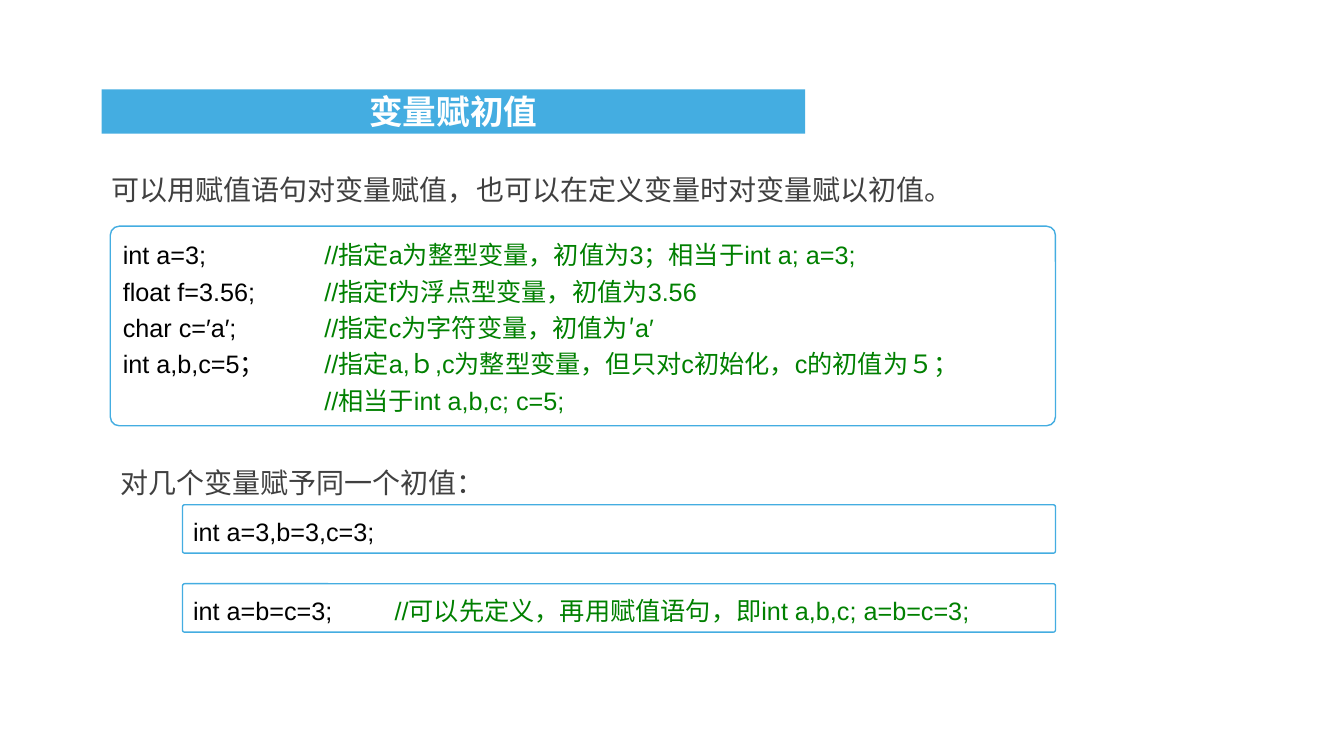
from lxml import etree
from pptx import Presentation
from pptx.dml.color import RGBColor
from pptx.enum.shapes import MSO_SHAPE as Shape
from pptx.enum.text import MSO_ANCHOR as Anchor, MSO_AUTO_SIZE as AutoSize, PP_ALIGN as Align
from pptx.oxml.ns import qn
from pptx.util import Cm, Pt

BLUE, WHITE, BLACK, GREY, GREEN = "44ADE1", "FFFFFF", "000000", "404040", "008000"
LATIN_FONT, CHINESE_FONT = "Arial", "Noto Sans CJK SC"
COMMENT_TAB = Cm(5.08)
RIGHT_EDGE = 26.6

DECLARATIONS = [
    ("int a=3;", "//指定a为整型变量，初值为3；相当于int a; a=3;"),
    ("float f=3.56;", "//指定f为浮点型变量，初值为3.56"),
    ("char c=′a′;", "//指定c为字符变量，初值为′a′"),
    ("int a,b,c=5；", "//指定a,ｂ,c为整型变量，但只对c初始化，c的初值为５；"),
    ("", "//相当于int a,b,c; c=5;"),
]
SEPARATE_VALUES = [("int a=3,b=3,c=3;", "")]
CHAINED_VALUES = [("int a=b=c=3;", "//可以先定义，再用赋值语句，即int a,b,c; a=b=c=3;")]


def rgb(color):
    return RGBColor.from_string(color)


def format_run(run, size, color, latin=LATIN_FONT, bold=False):
    run.font.size = Pt(size)
    run.font.bold = bold
    run.font.name = latin
    run.font.color.rgb = rgb(color)
    east_asian = etree.SubElement(run.font._element, qn("a:ea"))
    east_asian.set("typeface", CHINESE_FONT)


def place(shape, left, top, width, height):
    shape.left, shape.top = Cm(left), Cm(top)
    shape.width, shape.height = Cm(width), Cm(height)


def add_title(slide, text):
    title = slide.shapes.title
    place(title, 2.56, 2.25, 17.73, 1.12)
    title.fill.solid()
    title.fill.fore_color.rgb = rgb(BLUE)
    text_frame = title.text_frame
    text_frame.text = text
    text_frame.auto_size = AutoSize.NONE
    text_frame.vertical_anchor = Anchor.MIDDLE
    text_frame.margin_left = text_frame.margin_right = 0
    text_frame.margin_top = text_frame.margin_bottom = 0
    paragraph = text_frame.paragraphs[0]
    paragraph.alignment = Align.CENTER
    format_run(paragraph.runs[0], 24, WHITE, CHINESE_FONT, bold=True)


def add_statement(slide, text, left, top, width, height):
    box = slide.shapes.add_textbox(Cm(left), Cm(top), Cm(width), Cm(height))
    text_frame = box.text_frame
    text_frame.text = text
    text_frame.word_wrap = True
    text_frame.auto_size = AutoSize.SHAPE_TO_FIT_TEXT
    paragraph = text_frame.paragraphs[0]
    paragraph.line_spacing = 1.5
    format_run(paragraph.runs[0], 20, GREY)


def write_code_line(paragraph, code, comment):
    tab_list = etree.SubElement(paragraph._p.get_or_add_pPr(), qn("a:tabLst"))
    etree.SubElement(tab_list, qn("a:tab"), pos=str(COMMENT_TAB), algn="l")
    paragraph.alignment = Align.JUSTIFY
    paragraph.line_spacing = 1.2
    comment = "\t" + comment if comment else ""
    for text, color in ((code, BLACK), (comment, GREEN)):
        if text:
            run = paragraph.add_run()
            run.text = text
            format_run(run, 18, color)


def add_code_box(slide, lines, left, top, height):
    """Outlined box of code lines, comments aligned on one tab stop."""
    box = slide.shapes.add_shape(
        Shape.ROUNDED_RECTANGLE, Cm(left), Cm(top), Cm(RIGHT_EDGE - left), Cm(height))
    box.adjustments[0] = 0.045
    box.shadow.inherit = False
    box.fill.solid()
    box.fill.fore_color.rgb = rgb(WHITE)
    box.line.color.rgb = rgb(BLUE)
    box.line.width = Pt(1)
    text_frame = box.text_frame
    text_frame.word_wrap = True
    text_frame.vertical_anchor = Anchor.TOP
    for index, (code, comment) in enumerate(lines):
        paragraph = text_frame.add_paragraph() if index else text_frame.paragraphs[0]
        write_code_line(paragraph, code, comment)


def main():
    presentation = Presentation()
    presentation.slide_width, presentation.slide_height = Cm(33.87), Cm(19.05)
    slide = presentation.slides.add_slide(presentation.slide_layouts[5])

    add_title(slide, "变量赋初值")

    # Initial values in declarations
    add_statement(slide, "可以用赋值语句对变量赋值，也可以在定义变量时对变量赋以初值。",
                  2.56, 3.81, 26.54, 1.4)
    add_code_box(slide, DECLARATIONS, 2.78, 5.7, 5.03)

    # One value for several variables
    add_statement(slide, "对几个变量赋予同一个初值：", 2.78, 11.18, 12.8, 1.55)
    for row, lines in enumerate((SEPARATE_VALUES, CHAINED_VALUES)):
        add_code_box(slide, lines, 4.6, 12.72 + 1.99 * row, 1.22)

    presentation.save("out.pptx")


if __name__ == "__main__":
    main()
